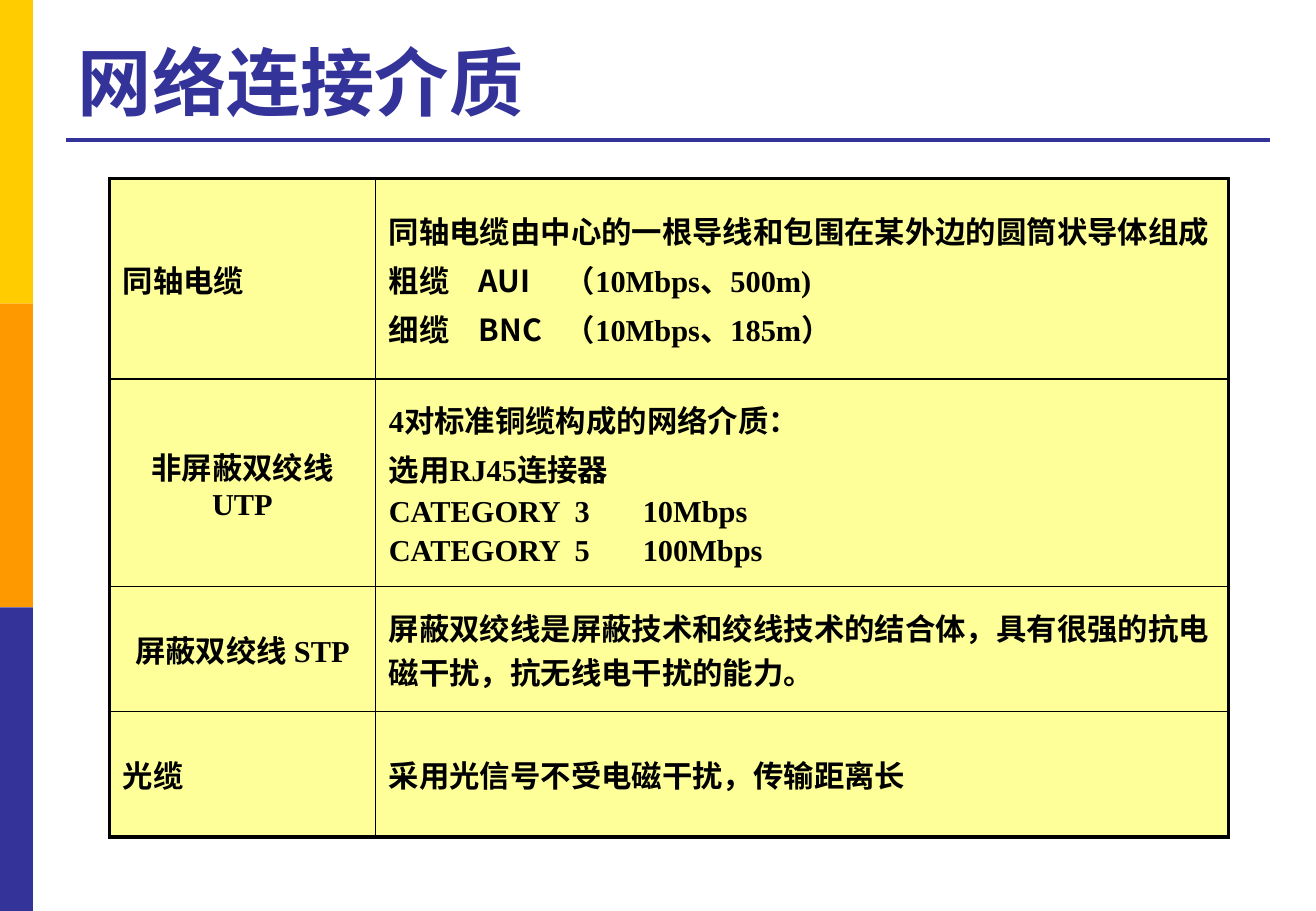
from lxml.etree import SubElement
from pptx import Presentation
from pptx.dml.color import RGBColor
from pptx.enum.shapes import MSO_CONNECTOR, MSO_SHAPE
from pptx.enum.text import MSO_ANCHOR, MSO_AUTO_SIZE, PP_ALIGN
from pptx.oxml import parse_xml
from pptx.oxml.ns import nsdecls, qn
from pptx.util import Inches, Pt

W, H = Inches(10.83), Inches(7.5)
YELLOW = RGBColor(0xFF, 0xCC, 0x00)
ORANGE = RGBColor(0xFF, 0x99, 0x00)
INDIGO = RGBColor(0x33, 0x33, 0x99)
CREAM = RGBColor(0xFF, 0xFF, 0x99)
BLACK = RGBColor(0, 0, 0)
CJK, LATIN, HEADING = "Noto Sans CJK SC", "Times New Roman", "Arial"

LEFT, CENTER = PP_ALIGN.LEFT, PP_ALIGN.CENTER
COLUMNS = [2.19, 7.02]
ROWS = [1.65, 1.71, 1.03, 1.03]
CABLE_TABS = [0.74, 1.45]
CATEGORY_TABS = [1.53, 2.09]

# Each row: alignment of the name, runs of the name, (runs, tab stops) of each detail line
MEDIA = [
    (LEFT, ["同轴电缆"], [
        (["同轴电缆由中心的一根导线和包围在某外边的圆筒状导体组成"], []),
        (["粗缆\tAUI\t（", "10Mbps", "、", "500m)"], CABLE_TABS),
        (["细缆\tBNC\t（", "10Mbps", "、", "185m", "）"], CABLE_TABS)]),
    (CENTER, ["非屏蔽双绞线 ", "UTP"], [
        (["4", "对标准铜缆构成的网络介质："], []),
        (["选用", "RJ45", "连接器"], []),
        (["CATEGORY\t3\t10Mbps"], CATEGORY_TABS),
        (["CATEGORY\t5\t100Mbps"], CATEGORY_TABS)]),
    (CENTER, ["屏蔽双绞线 ", "STP"], [
        (["屏蔽双绞线是屏蔽技术和绞线技术的结合体，具有很强的抗电磁干扰，抗无线电干扰的能力。"], [])]),
    (LEFT, ["光缆"], [
        (["采用光信号不受电磁干扰，传输距离长"], [])]),
]


def add_run(p, text, font, size, color):
    r = p.add_run()
    r.text = text
    r.font.size, r.font.bold, r.font.name = Pt(size), True, font
    r.font.color.rgb = color
    SubElement(r.font._element, qn("a:ea")).set("typeface", CJK)


def set_tabs(p, stops):
    tabs = SubElement(p._p.get_or_add_pPr(), qn("a:tabLst"))
    for stop in stops:
        tab = SubElement(tabs, qn("a:tab"))
        tab.set("pos", str(Inches(stop)))
        tab.set("algn", "l")


def set_borders(cell, widths):
    """Draw black borders; widths are points for left, right, top, bottom."""
    tc_pr = cell._tc.get_or_add_tcPr()
    for i, (side, width) in enumerate(zip("LRTB", widths)):
        tc_pr.insert(i, parse_xml(
            f'<a:ln{side} {nsdecls("a")} w="{Pt(width)}"><a:solidFill>'
            f'<a:srgbClr val="{BLACK}"/></a:solidFill></a:ln{side}>'))


def fill_cell(cell, lines, align=LEFT):
    cell.fill.solid()
    cell.fill.fore_color.rgb = CREAM
    cell.vertical_anchor = MSO_ANCHOR.MIDDLE
    cell.margin_left = cell.margin_right = Inches(0.11)
    cell.margin_top = cell.margin_bottom = Inches(0.05)
    tf = cell.text_frame
    for i, (runs, stops) in enumerate(lines):
        p = tf.add_paragraph() if i else tf.paragraphs[0]
        if stops:
            set_tabs(p, stops)
        p.alignment = align
        if i:
            p.space_before = Pt(3)
        for text in runs:
            add_run(p, text, LATIN if text.isascii() else CJK, 18, BLACK)


def add_side_bands(s):
    colors = [YELLOW, ORANGE, INDIGO]
    height = H // len(colors)
    for i, color in enumerate(colors):
        sp = s.shapes.add_shape(MSO_SHAPE.RECTANGLE, 0, i * height, int(W * 0.025), height)
        sp.shadow.inherit = False
        sp.fill.solid()
        sp.fill.fore_color.rgb = color
        sp.line.fill.background()


def add_title(s, text):
    title = s.shapes.title
    title.left, title.top = int(W * 0.05), Inches(0.21)
    title.width, title.height = int(W * 0.915), Inches(0.87)
    tf = title.text_frame
    tf.word_wrap, tf.auto_size = True, MSO_AUTO_SIZE.NONE
    tf.vertical_anchor = MSO_ANCHOR.BOTTOM
    p = tf.paragraphs[0]
    p.alignment = LEFT
    add_run(p, text, HEADING, 44, INDIGO)


def add_title_rule(s):
    y = Inches(1.15)
    line = s.shapes.add_connector(MSO_CONNECTOR.STRAIGHT, int(W * 0.05), y, int(W * 0.965), y)
    line.line.color.rgb = INDIGO
    line.line.width = Pt(2.25)
    SubElement(line._element.spPr, qn("a:effectLst"))


def add_media_table(s):
    table = s.shapes.add_table(len(ROWS), len(COLUMNS), Inches(0.9), Inches(1.47),
                               Inches(sum(COLUMNS)), Inches(sum(ROWS))).table
    table.first_row = table.horz_banding = False
    for column, width in zip(table.columns, COLUMNS):
        column.width = Inches(width)
    for row, height in zip(table.rows, ROWS):
        row.height = Inches(height)
    last_row, last_col = len(ROWS) - 1, len(COLUMNS) - 1
    for i, (align, name, details) in enumerate(MEDIA):
        fill_cell(table.cell(i, 0), [(name, [])], align)
        fill_cell(table.cell(i, 1), details)
        for j in range(len(COLUMNS)):
            outer = (j == 0, j == last_col, i == 0, i == last_row)
            set_borders(table.cell(i, j), [2.25 if edge else 1 for edge in outer])


def main():
    prs = Presentation()
    prs.slide_width, prs.slide_height = W, H
    s = prs.slides.add_slide(prs.slide_layouts[5])
    add_side_bands(s)
    add_title_rule(s)
    add_title(s, "网络连接介质")
    add_media_table(s)
    prs.save("out.pptx")


if __name__ == "__main__":
    main()
